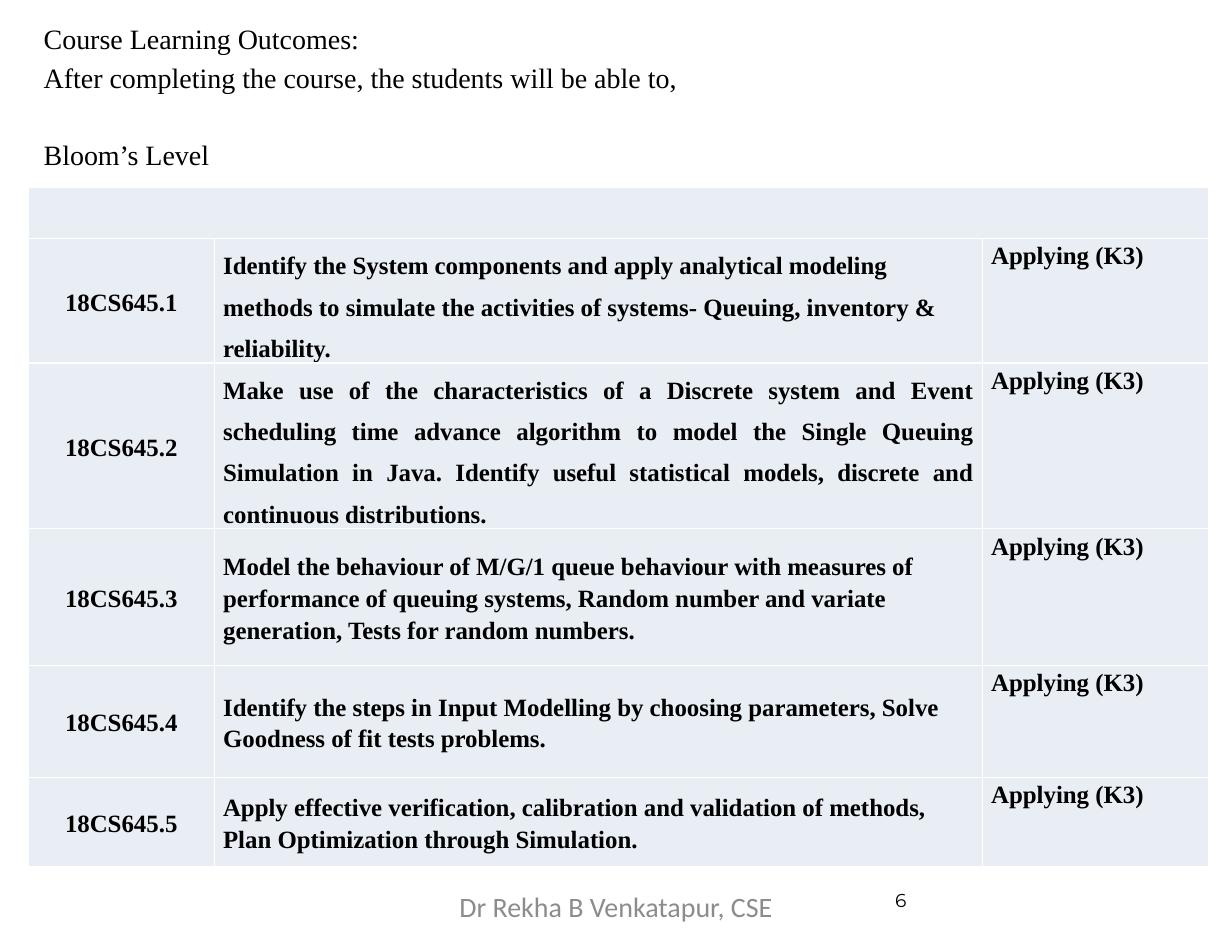
from lxml import etree
from pptx import Presentation
from pptx.dml.color import RGBColor
from pptx.enum.text import MSO_ANCHOR as Anchor, PP_ALIGN as Align
from pptx.oxml.ns import qn
from pptx.util import Cm, Pt

COLOURS = {"text": "000000", "footer": "8C8C8C", "cell": "E9EDF4", "border": "FFFFFF"}
SERIF = "Times New Roman"
BLANK_LAYOUT = 6

HEADING = [
    "Course Learning Outcomes:",
    "After completing the course, the students will be able to,",
    "Bloom’s Level",
]
COLUMN_WIDTHS = [4.22, 17.42, 5.13]
HEADER_HEIGHT = 1.17
LEVEL = "Applying (K3)"
# Row height in cm, outcome text, and its paragraph format
OUTCOMES = [
    (2.29, "Identify the System components and apply analytical modeling methods to "
           "simulate the activities of systems- Queuing, inventory & reliability.",
     {"line": 1.5}),
    (3.05, "Make use of the characteristics of a Discrete system and Event scheduling "
           "time advance algorithm to model the Single Queuing Simulation in Java. "
           "Identify useful statistical models, discrete and continuous distributions.",
     {"line": 1.5, "align": Align.JUSTIFY}),
    (3.1, "Model the behaviour of M/G/1 queue behaviour with measures of performance of "
          "queuing systems, Random number and variate generation, Tests for random numbers.",
     {"line": 1.15}),
    (2.54, "Identify the steps in Input Modelling by choosing parameters, Solve Goodness "
           "of fit tests problems.", {"line": 1.15}),
    (2.03, "Apply effective verification, calibration and validation of methods, Plan "
           "Optimization through Simulation.", {"line": 1.15}),
]


def write(para, text, size=18, font=SERIF, colour="text", bold=False,
          align=Align.LEFT, line=1.0, before=0, after=0):
    para.alignment = align
    para.line_spacing = line
    para.space_before, para.space_after = Pt(before), Pt(after)
    span = para.add_run()
    span.text = text
    span.font.size, span.font.name, span.font.bold = Pt(size), font, bold
    span.font.color.rgb = RGBColor.from_string(COLOURS[colour])


def add_text_frame(page, box):
    frame = page.shapes.add_textbox(*map(Cm, box)).text_frame
    frame.word_wrap = True
    frame.margin_left = frame.margin_right = Cm(0.28)
    frame.margin_top = frame.margin_bottom = Cm(0.15)
    return frame


def add_heading(page, box):
    frame = add_text_frame(page, box)
    for index, text in enumerate(HEADING):
        para = frame.add_paragraph() if index else frame.paragraphs[0]
        is_last = index == len(HEADING) - 1
        write(para, text, line=1.15, before=24.5 if is_last else 0)


def add_footer(page, box, text, **style):
    write(add_text_frame(page, box).paragraphs[0], text, **style)


def style_cell(cell):
    """Give a cell its fill and thin borders."""
    cell.fill.solid()
    cell.fill.fore_color.rgb = RGBColor.from_string(COLOURS["cell"])
    properties = cell._tc.get_or_add_tcPr()
    for index, side in enumerate(("lnL", "lnR", "lnT", "lnB")):
        border = etree.Element(qn(f"a:{side}"), w=str(Pt(1)))
        fill = etree.SubElement(border, qn("a:solidFill"))
        etree.SubElement(fill, qn("a:srgbClr"), val=COLOURS["border"])
        properties.insert(index, border)


def fill_cell(cell, text, anchor=Anchor.MIDDLE, **style):
    cell.vertical_anchor = anchor
    cell.margin_left = cell.margin_right = Cm(0.2)
    cell.margin_top = cell.margin_bottom = 0
    write(cell.text_frame.paragraphs[0], text, size=16, bold=True, **style)


def add_outcome_table(page, left, top):
    heights = [HEADER_HEIGHT] + [height for height, _, _ in OUTCOMES]
    box = (left, top, sum(COLUMN_WIDTHS), sum(heights))
    table = page.shapes.add_table(len(heights), len(COLUMN_WIDTHS), *map(Cm, box)).table
    table.first_row = table.horz_banding = False
    for column, width in zip(table.columns, COLUMN_WIDTHS):
        column.width = Cm(width)
    for row, height in zip(table.rows, heights):
        row.height = Cm(height)
    for cell in table.iter_cells():
        style_cell(cell)
    table.cell(0, 0).merge(table.cell(0, len(COLUMN_WIDTHS) - 1))

    for number, (_, outcome, style) in enumerate(OUTCOMES, start=1):
        code_cell, outcome_cell, level_cell = table.rows[number].cells
        fill_cell(code_cell, f"18CS645.{number}", align=Align.CENTER, line=1.15)
        fill_cell(outcome_cell, outcome, **style)
        fill_cell(level_cell, LEVEL, anchor=Anchor.TOP, line=1.15, after=10)


def main():
    deck = Presentation()
    deck.slide_width, deck.slide_height = Cm(27.94), Cm(21.59)
    page = deck.slides.add_slide(deck.slide_layouts[BLANK_LAYOUT])
    add_outcome_table(page, 0.64, 4.24)
    add_footer(page, (9.55, 20.02, 8.84, 1.14), "Dr Rekha B Venkatapur, CSE",
               font="Calibri", colour="footer", align=Align.CENTER)
    add_footer(page, (20.02, 20.02, 6.53, 1.14), "6", size=12, font="Montserrat")
    add_heading(page, (0.71, 0.23, 25.6, 3.84))
    deck.save("out.pptx")


if __name__ == "__main__":
    main()
